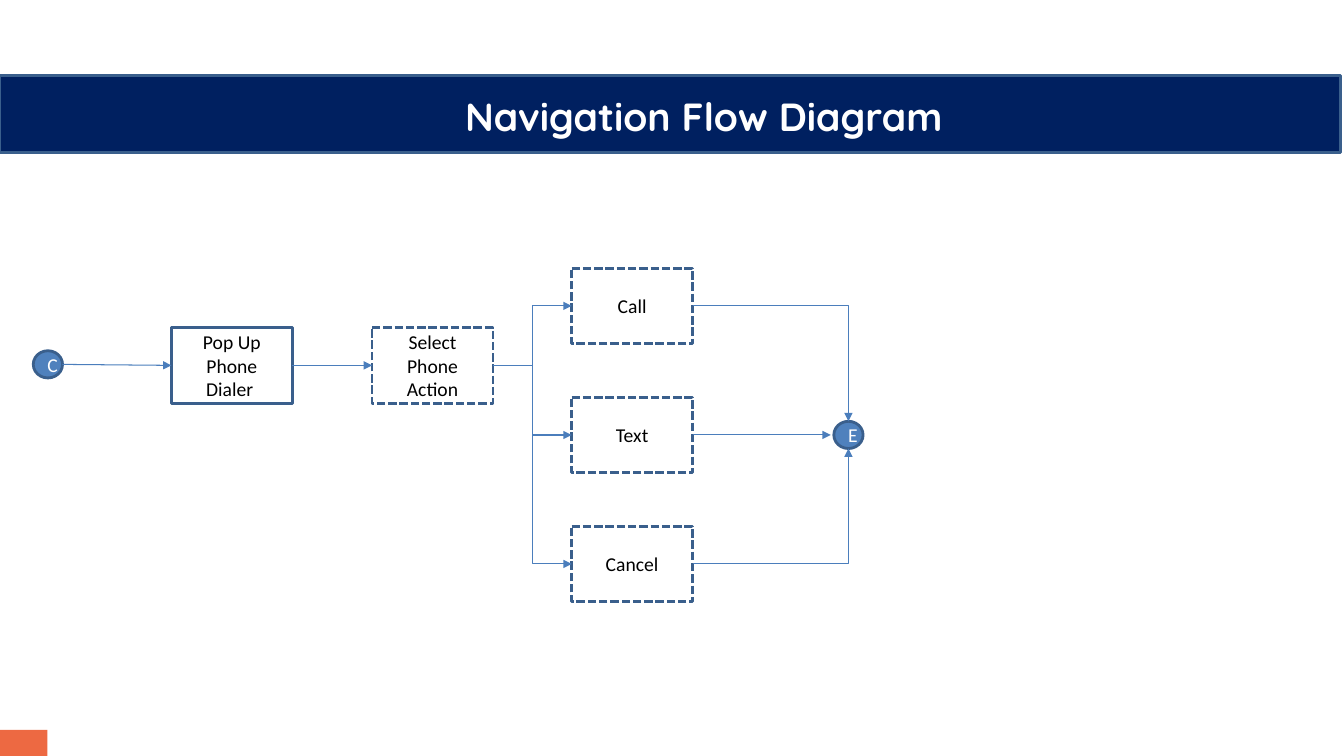
from pptx import Presentation
from pptx.dml.color import RGBColor
from pptx.enum.dml import MSO_LINE
from pptx.enum.shapes import MSO_CONNECTOR, MSO_SHAPE
from pptx.enum.text import MSO_ANCHOR, PP_ALIGN
from pptx.oxml.ns import qn
from pptx.util import Inches, Pt
from lxml.etree import SubElement

COLORS = {
    "white": "FFFFFF", "black": "000000", "navy": "002060",
    "orange": "ED6942", "blue": "4F81BD", "edge": "3A5F8C", "wire": "4B7EBC",
}
BOX_W, BOX_H = 1.2, 0.75
DOT_W, DOT_H = 0.29, 0.27
TOP, LEFT, BOTTOM, RIGHT = range(4)


def color(name):
    return RGBColor.from_string(COLORS[name])


def write(frame, text, font="Calibri", size=14, ink="black", bold=False):
    frame.word_wrap = True
    para = frame.paragraphs[0]
    para.alignment = PP_ALIGN.CENTER
    run = para.add_run()
    run.text = text
    run.font.name, run.font.size, run.font.bold = font, Pt(size), bold
    run.font.color.rgb = color(ink)


def side(shape, site):
    """Middle of one side of a shape."""
    x = shape.left + shape.width * {LEFT: 0, RIGHT: 2}.get(site, 1) // 2
    y = shape.top + shape.height * {TOP: 0, BOTTOM: 2}.get(site, 1) // 2
    return x, y


class Chart:
    def __init__(self, slide):
        self.shapes = slide.shapes

    def shape(self, kind, x, y, w, h, fill, edge="edge", dash=False):
        item = self.shapes.add_shape(kind, Inches(x), Inches(y), Inches(w), Inches(h))
        item.shadow.inherit = False
        item.fill.solid()
        item.fill.fore_color.rgb = color(fill)
        if edge is None:
            item.line.fill.background()
            return item
        item.line.color.rgb = color(edge)
        item.line.width = Pt(2)
        if dash:
            item.line.dash_style = MSO_LINE.SQUARE_DOT
        return item

    def title(self, text, x, y, w, h):
        box = self.shapes.add_textbox(Inches(x), Inches(y), Inches(w), Inches(h))
        write(box.text_frame, text, font="Quicksand", size=28, ink="white", bold=True)

    def step(self, text, x, y, dash=True):
        item = self.shape(MSO_SHAPE.FLOWCHART_PROCESS, x, y, BOX_W, BOX_H, "white", dash=dash)
        item.text_frame.vertical_anchor = MSO_ANCHOR.MIDDLE
        write(item.text_frame, text)
        return item

    def dot(self, text, x, y):
        item = self.shape(MSO_SHAPE.FLOWCHART_CONNECTOR, x, y, DOT_W, DOT_H, "blue")
        item.text_frame.vertical_anchor = MSO_ANCHOR.MIDDLE
        write(item.text_frame, text, ink="white")
        return item

    def arrow(self, kind, start, end):
        line = self.shapes.add_connector(kind, *start, *end)
        line.line.color.rgb = color("wire")
        line.line.width = Pt(0.75)
        SubElement(line.line._get_or_add_ln(), qn("a:tailEnd"), type="triangle")
        SubElement(line._element.spPr, qn("a:effectLst"))
        return line

    def direct(self, start, end, first=None, last=None):
        """Straight arrow, joined to the boxes it touches."""
        line = self.arrow(MSO_CONNECTOR.STRAIGHT, start, end)
        if first is not None:
            line.begin_connect(first, RIGHT)
        if last is not None:
            line.end_connect(last, LEFT)

    def bent(self, start, end, turns=2):
        line = self.arrow(MSO_CONNECTOR.ELBOW, start, end)
        geom = line._element.spPr.find(qn("a:prstGeom"))
        geom.set("prst", f"bentConnector{turns + 1}")


def main():
    deck = Presentation()
    deck.slide_width, deck.slide_height = Inches(13.33), Inches(7.5)
    flow = Chart(deck.slides.add_slide(deck.slide_layouts[6]))

    # Corner mark and title band
    flow.shape(MSO_SHAPE.RECTANGLE, 0, 7.24, 0.47, 0.26, "orange", edge=None)
    flow.shape(MSO_SHAPE.RECTANGLE, 0, 0.75, 13.3, 0.76, "navy")
    flow.title("Navigation Flow Diagram", 0.33, 0.87, 13.3, 0.72)

    # Main path
    start = flow.dot("C", 0.33, 3.48)
    popup = flow.step("Pop Up Phone Dialer ", 1.7, 3.25, dash=False)
    select = flow.step("Select Phone Action", 3.69, 3.25)
    flow.direct(side(start, RIGHT), side(popup, LEFT), last=popup)
    flow.direct(side(popup, RIGHT), side(select, LEFT), popup, select)

    # Choices
    names = ["Call", "Text", "Cancel"]
    call, text, cancel = [
        flow.step(name, 5.67, 2.66 + 1.28 * row) for row, name in enumerate(names)
    ]
    for choice in (call, text, cancel):
        flow.bent(side(select, RIGHT), side(choice, LEFT))

    # Paths to the end
    end = flow.dot("E", 8.27, 4.18)
    flow.bent(side(call, RIGHT), side(end, TOP), turns=1)
    x, y = side(text, RIGHT)
    flow.direct((x, y), (Inches(8.24), y), first=text)
    flow.bent(side(cancel, RIGHT), side(end, BOTTOM), turns=1)

    deck.save("out.pptx")


if __name__ == "__main__":
    main()
